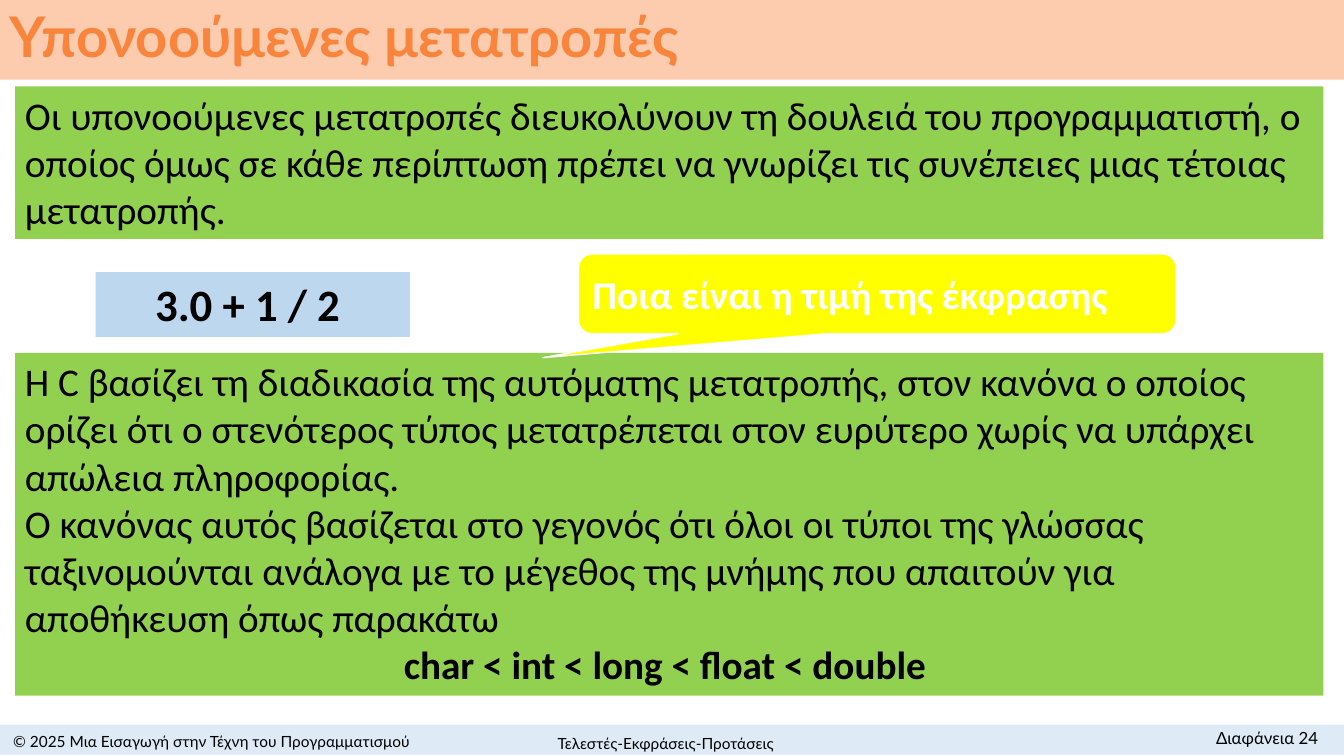
"""Builds the slide on implicit type conversions in C."""
from dataclasses import dataclass

from pptx import Presentation
from pptx.dml.color import RGBColor
from pptx.enum.shapes import MSO_SHAPE
from pptx.enum.text import MSO_ANCHOR, PP_ALIGN
from pptx.util import Cm, Pt

RECT = MSO_SHAPE.RECTANGLE
CALLOUT = MSO_SHAPE.ROUNDED_RECTANGULAR_CALLOUT
TOP, MIDDLE = MSO_ANCHOR.TOP, MSO_ANCHOR.MIDDLE
LEFT, CENTER, RIGHT = PP_ALIGN.LEFT, PP_ALIGN.CENTER, PP_ALIGN.RIGHT


@dataclass(frozen=True)
class Theme:
    """Colours, fonts and type sizes."""
    black: str = "000000"
    white: str = "FFFFFF"
    title_text: str = "F9853D"
    title_band: str = "FDCBAD"
    footer_band: str = "DEEBF7"
    rule: str = "92D050"
    expression: str = "BDD7EE"
    question: str = "FFFF00"
    heading_font: str = "Lato"
    body_font: str = "Calibri"
    title_size: int = 40
    expression_size: int = 32
    body_size: int = 28
    page_size: int = 12
    footer_size: int = 11


@dataclass(frozen=True)
class Box:
    """Position and size in centimetres."""
    left: float
    top: float
    width: float
    height: float

    def emu(self) -> tuple:
        """Return the four lengths for python-pptx."""
        return Cm(self.left), Cm(self.top), Cm(self.width), Cm(self.height)


@dataclass(frozen=True)
class Footer:
    """One text in the footer band."""
    text: str
    box: Box
    align: PP_ALIGN
    size: int
    anchor: MSO_ANCHOR = MIDDLE


T = Theme()
WIDTH, HEIGHT = 33.87, 19.05
MARGIN = 0.38
PANEL_WIDTH = 32.97

FOOTERS = [
    Footer("© 2025 Μια Εισαγωγή στην Τέχνη του Προγραμματισμού",
           Box(0, 18.34, 10.67, 0.66), CENTER, T.footer_size),
    Footer("Διαφάνεια 24", Box(28.24, 18.21, 5.23, 0.76), RIGHT, T.page_size, TOP),
    Footer("Τελεστές-Εκφράσεις-Προτάσεις",
           Box(10.34, 18.36, 12.88, 0.76), CENTER, T.footer_size),
]
INTRO = ("Οι υπονοούμενες μετατροπές διευκολύνουν τη δουλειά του προγραμματιστή, ο "
         "οποίος όμως σε κάθε περίπτωση πρέπει να γνωρίζει τις συνέπειες μιας τέτοιας "
         "μετατροπής.")
RULES = [
    "Η C βασίζει τη διαδικασία της αυτόματης μετατροπής, στον κανόνα ο οποίος "
    "ορίζει ότι ο στενότερος τύπος μετατρέπεται στον ευρύτερο χωρίς να υπάρχει "
    "απώλεια πληροφορίας.",
    "Ο κανόνας αυτός βασίζεται στο γεγονός ότι όλοι οι τύποι της γλώσσας "
    "ταξινομούνται ανάλογα με το μέγεθος της μνήμης που απαιτούν για "
    "αποθήκευση όπως παρακάτω",
]
TYPE_ORDER = "char < int < long < float < double "


def add_text(sp, text: str, *, size: int = T.body_size, font: str = T.body_font,
             color: str = T.black, bold: bool = False, align: PP_ALIGN = LEFT,
             anchor: MSO_ANCHOR = TOP, spacing: float = 1.0) -> None:
    """Add one formatted paragraph, using the empty first one if there is one."""
    tf = sp.text_frame
    tf.word_wrap = True
    tf.vertical_anchor = anchor
    p = tf.add_paragraph() if tf.text else tf.paragraphs[0]
    p.alignment = align
    p.line_spacing = spacing
    r = p.add_run()
    r.text = text
    r.font.size = Pt(size)
    r.font.name = font
    r.font.bold = bold
    r.font.color.rgb = RGBColor.from_string(color)


def add_panel(s, box: Box, fill: str, preset: MSO_SHAPE = RECT):
    """Add a filled shape without line or shadow."""
    sp = s.shapes.add_shape(preset, *box.emu())
    sp.shadow.inherit = False
    sp.fill.solid()
    sp.fill.fore_color.rgb = RGBColor.from_string(fill)
    sp.line.fill.background()
    return sp


def add_footer(s, footer: Footer) -> None:
    """Add one footer text box."""
    sp = s.shapes.add_textbox(*footer.box.emu())
    add_text(sp, footer.text, size=footer.size, font=T.heading_font,
             align=footer.align, anchor=footer.anchor)


def add_question(s) -> None:
    """Add the callout that asks for the value of the expression."""
    sp = add_panel(s, Box(14.58, 6.4, 15.06, 2.01), T.question, CALLOUT)
    for i, value in enumerate((-0.56, 0.8, 0.17)):
        sp.adjustments[i] = value
    sp.line.color.rgb = RGBColor.from_string(T.white)
    sp.line.width = Pt(1)
    add_text(sp, "Ποια είναι η τιμή της έκφρασης", color=T.white, bold=True,
             anchor=MIDDLE)


def main() -> None:
    """Build and save the slide."""
    prs = Presentation()
    prs.slide_width, prs.slide_height = Cm(WIDTH), Cm(HEIGHT)
    s = prs.slides.add_slide(prs.slide_layouts[6])

    add_panel(s, Box(0, 18.26, WIDTH, 0.76), T.footer_band)
    title = add_panel(s, Box(0, 0, WIDTH, 2.01), T.title_band)
    add_text(title, "Υπονοούμενες μετατροπές", size=T.title_size, font=T.heading_font,
             color=T.title_text, bold=True, anchor=MIDDLE, spacing=0.9)
    for footer in FOOTERS:
        add_footer(s, footer)

    intro = add_panel(s, Box(MARGIN, 2.18, PANEL_WIDTH, 3.84), T.rule)
    add_text(intro, INTRO)
    rules = add_panel(s, Box(MARGIN, 8.89, PANEL_WIDTH, 8.64), T.rule)
    for rule in RULES:
        add_text(rules, rule)
    add_text(rules, TYPE_ORDER, bold=True, align=CENTER)

    expression = add_panel(s, Box(2.41, 6.86, 7.92, 1.63), T.expression)
    add_text(expression, "3.0 + 1 / 2 ", size=T.expression_size, bold=True, align=CENTER)
    add_question(s)
    prs.save("out.pptx")


if __name__ == "__main__":
    main()
